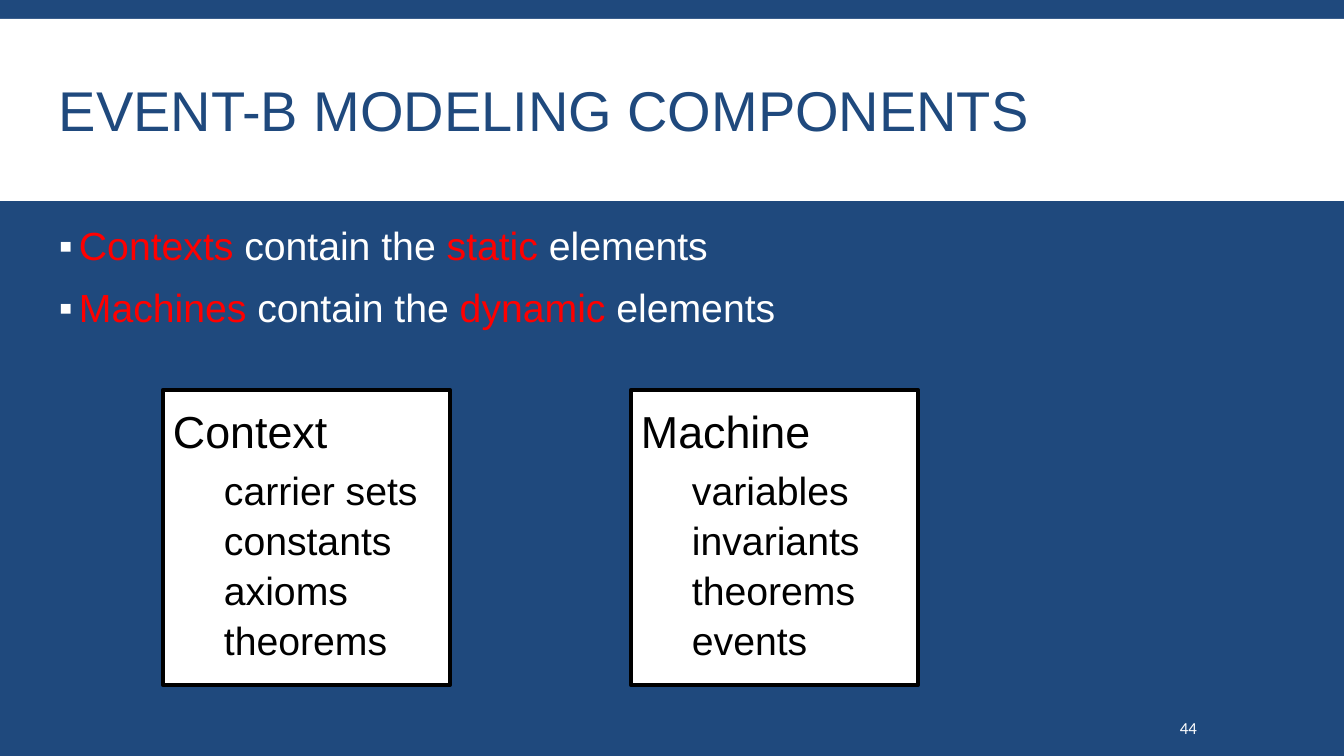
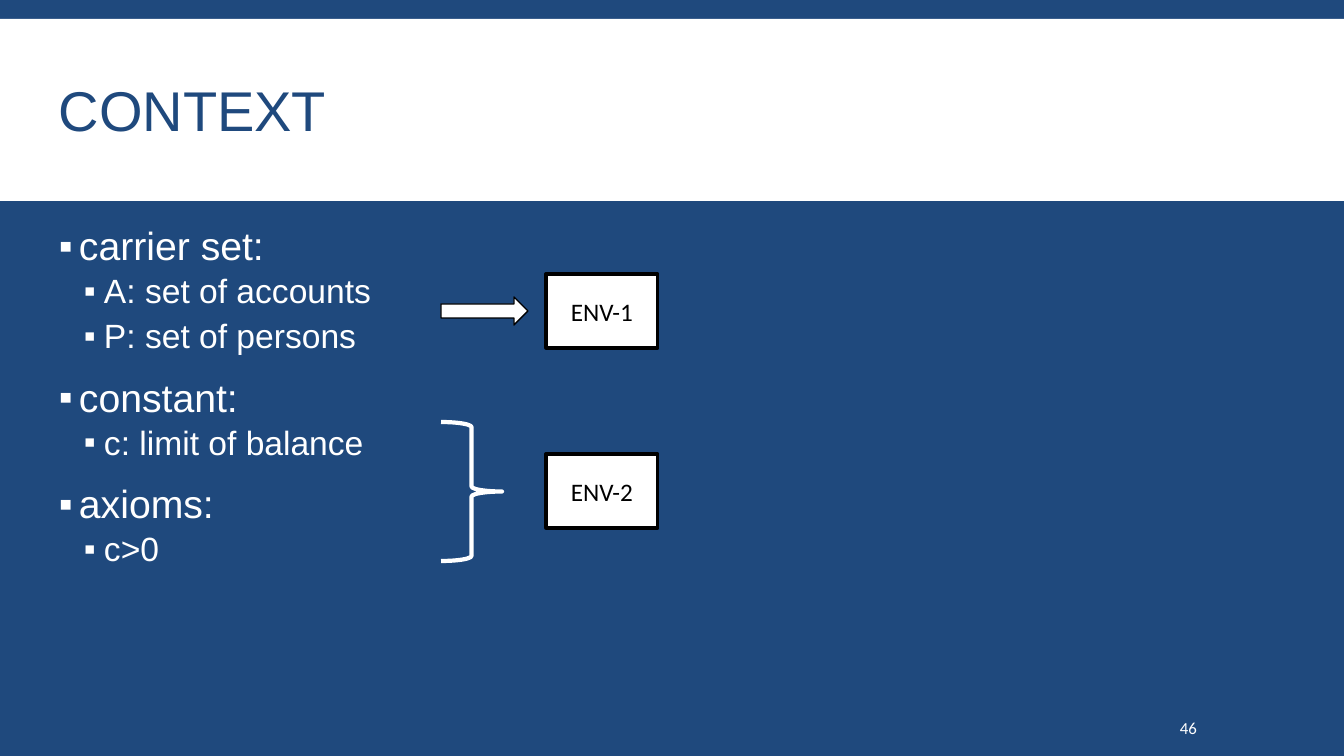
from dataclasses import dataclass

from lxml.etree import SubElement
from pptx import Presentation
from pptx.dml.color import RGBColor
from pptx.enum.shapes import MSO_SHAPE as Shape
from pptx.enum.text import MSO_ANCHOR as Anchor, PP_ALIGN as Align
from pptx.oxml.ns import qn
from pptx.util import Pt


@dataclass(frozen=True)
class Theme:
    navy: str = "1F497D"
    white: str = "FFFFFF"
    black: str = "000000"
    red: str = "FF0000"
    font: str = "Arial"
    label_font: str = "Calibri"
    title_size: int = 40
    heading_size: int = 32
    item_size: int = 28
    subitem_size: int = 24
    label_size: int = 18
    number_size: int = 12


THEME = Theme()
SLIDE_W, SLIDE_H = 1344, 756
EMU_PER_PX = 914400 / 100.8

# Content: a bullet is (level, runs), a run is (text, colour)
COMPONENTS = {
    "title": "EVENT-B MODELING COMPONENTS",
    "number": "44",
    "bullets": [
        (0, [("Contexts", THEME.red), (" contain the ", THEME.white),
             ("static", THEME.red), (" elements", THEME.white)]),
        (0, [("Machines", THEME.red), (" contain the ", THEME.white),
             ("dynamic", THEME.red), (" elements", THEME.white)]),
    ],
}
COMPONENT_CARDS = [
    ("Context", ["carrier sets", "constants", "axioms", "theorems"]),
    ("Machine", ["variables", "invariants", "theorems", "events"]),
]
CONTEXT = {
    "title": "CONTEXT",
    "number": "46",
    "bullets": [
        (level, [(text, THEME.white)]) for level, text in [
            (0, "carrier set:"),
            (1, "A: set of accounts"),
            (1, "P: set of persons"),
            (0, "constant:"),
            (1, "c: limit of balance"),
            (0, "axioms:"),
            (1, "c>0"),
        ]
    ],
}
# Requirement label, middle height, pointer shape, pointer size
REQUIREMENTS = [
    ("ENV-1", 311, Shape.RIGHT_ARROW, (87, 28)),
    ("ENV-2", 491, Shape.RIGHT_BRACE, (61, 139)),
]
# Bullet levels: size, left margin in px, space before and after in points
BULLET_LEVELS = [
    (THEME.item_size, 20, 12, 2),
    (THEME.subitem_size, 45, 2, 4),
]


def px(length):
    return round(length * EMU_PER_PX)


def rgb(colour):
    return RGBColor.from_string(colour)


def add_box(slide, left, top, width, height, kind=Shape.RECTANGLE,
            fill=None, line=None, line_width=1):
    box = slide.shapes.add_shape(kind, px(left), px(top), px(width), px(height))
    box.shadow.inherit = False
    if fill:
        box.fill.solid()
        box.fill.fore_color.rgb = rgb(fill)
    else:
        box.fill.background()
    if line:
        box.line.color.rgb = rgb(line)
        box.line.width = Pt(line_width)
    else:
        box.line.fill.background()
    return box


def add_text_area(slide, left, top, width, height):
    return slide.shapes.add_textbox(px(left), px(top), px(width), px(height))


def set_frame(box, anchor=Anchor.MIDDLE, insets=(10, 5, 10, 5)):
    frame = box.text_frame
    frame.word_wrap = True
    frame.vertical_anchor = anchor
    (frame.margin_left, frame.margin_top,
     frame.margin_right, frame.margin_bottom) = map(px, insets)
    return frame


def write(frame, runs, size, colour=THEME.black, font=THEME.font, first=True,
          align=Align.LEFT, spacing=1.0, before=0, after=0, margin=0,
          bullet=None, level=0):
    """Write one paragraph; runs is a string or a list of (text, colour)."""
    paragraph = frame.paragraphs[0] if first else frame.add_paragraph()
    paragraph.alignment = align
    paragraph.level = level
    paragraph.line_spacing = spacing
    paragraph.space_before = Pt(0 if first else before)
    paragraph.space_after = Pt(after)
    properties = paragraph._p.get_or_add_pPr()
    properties.set("marL", str(px(margin)))
    properties.set("indent", str(px(-20 if bullet else 0)))
    if bullet:
        bullet_colour = SubElement(properties, qn("a:buClr"))
        SubElement(bullet_colour, qn("a:srgbClr"), val=THEME.white)
        SubElement(properties, qn("a:buFont"), typeface=THEME.font)
        SubElement(properties, qn("a:buChar"), char=bullet)
    for text, run_colour in [(runs, colour)] if isinstance(runs, str) else runs:
        run = paragraph.add_run()
        run.text = text
        run.font.size = Pt(size)
        run.font.name = font
        run.font.color.rgb = rgb(run_colour)


def add_base_slide(prs, content):
    """Add the band, title, bullets and number that every slide has."""
    slide = prs.slides.add_slide(prs.slide_layouts[6])
    add_box(slide, 0, 19, SLIDE_W, 182, fill=THEME.white)

    title = set_frame(add_text_area(slide, 49, 31, 1243, 166))
    write(title, content["title"], THEME.title_size, THEME.navy, spacing=0.85)

    body = set_frame(add_text_area(slide, 49, 222, 1243, 464), Anchor.TOP)
    for index, (level, runs) in enumerate(content["bullets"]):
        size, margin, before, after = BULLET_LEVELS[level]
        write(body, runs, size, first=index == 0, spacing=0.9, before=before,
              after=after, margin=margin, bullet="▪", level=level)

    number = set_frame(add_text_area(slide, 1175, 708, 118, 40),
                       insets=(5, 5, 10, 5))
    write(number, content["number"], THEME.number_size, THEME.white,
          THEME.label_font)
    return slide


def build_components(prs):
    slide = add_base_slide(prs, COMPONENTS)
    for column, (heading, items) in enumerate(COMPONENT_CARDS):
        card = add_box(slide, 163 + column * 468, 390, 287, 295,
                       fill=THEME.white, line=THEME.black, line_width=3)
        frame = set_frame(card, Anchor.TOP, insets=(10, 14, 10, 5))
        write(frame, heading, THEME.heading_size)
        for row, item in enumerate(items):
            write(frame, item, THEME.item_size, first=False, margin=51,
                  before=2 if row else 6)


def build_context(prs):
    slide = add_base_slide(prs, CONTEXT)
    label_height = 74
    for label, middle, pointer, (width, height) in REQUIREMENTS:
        requirement = add_box(slide, 546, middle - label_height // 2, 112,
                              label_height, fill=THEME.white,
                              line=THEME.black, line_width=2.25)
        write(set_frame(requirement), label, THEME.label_size,
              font=THEME.label_font, align=Align.CENTER)
        is_arrow = pointer == Shape.RIGHT_ARROW
        add_box(slide, 441, middle - height // 2, width, height, pointer,
                fill=THEME.white if is_arrow else None,
                line=THEME.black if is_arrow else THEME.white,
                line_width=1 if is_arrow else 3)


def main():
    prs = Presentation()
    prs.slide_width, prs.slide_height = px(SLIDE_W), px(SLIDE_H)
    background = prs.slide_master.background.fill
    background.solid()
    background.fore_color.rgb = rgb(THEME.navy)
    build_components(prs)
    build_context(prs)
    prs.save("out.pptx")


if __name__ == "__main__":
    main()
